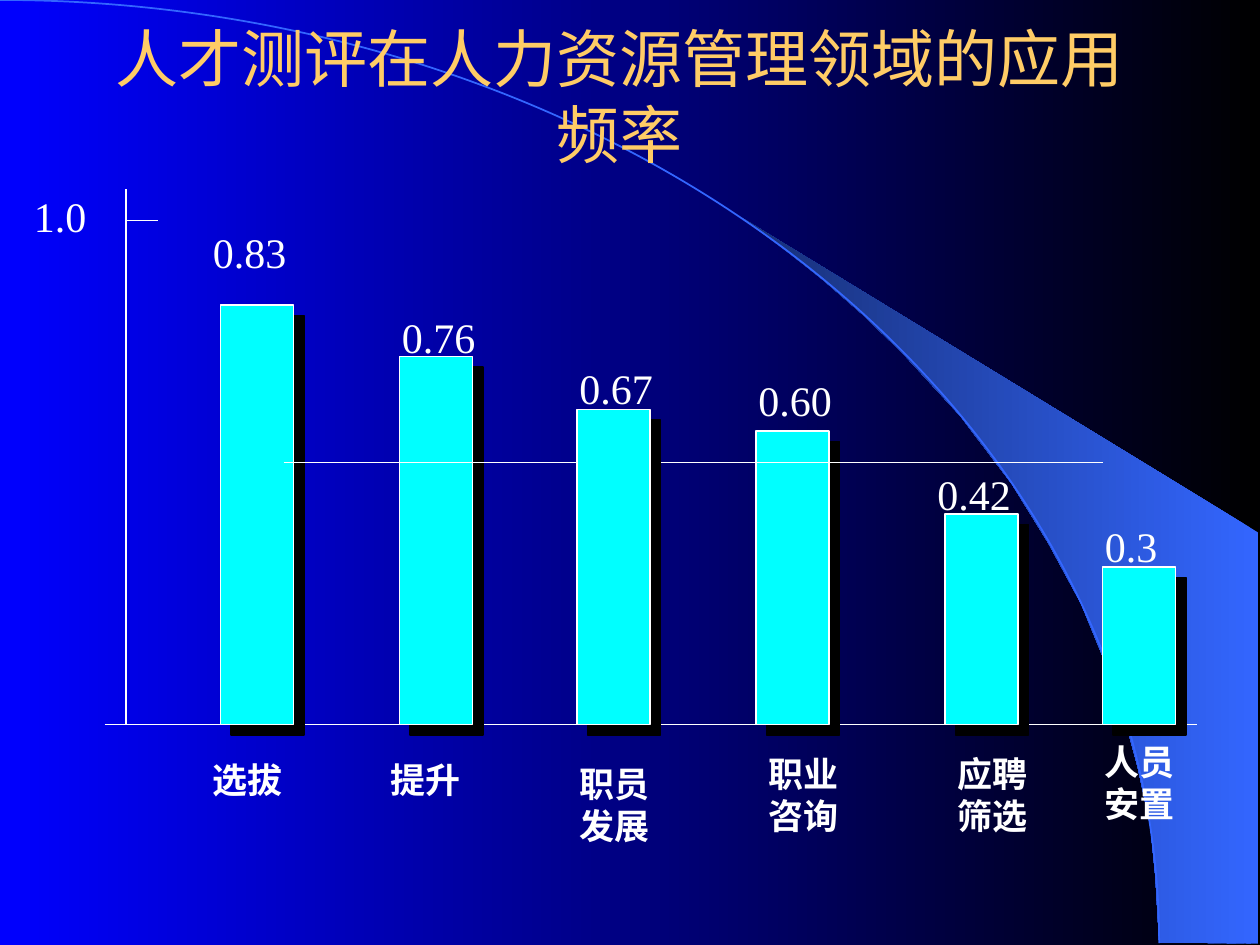
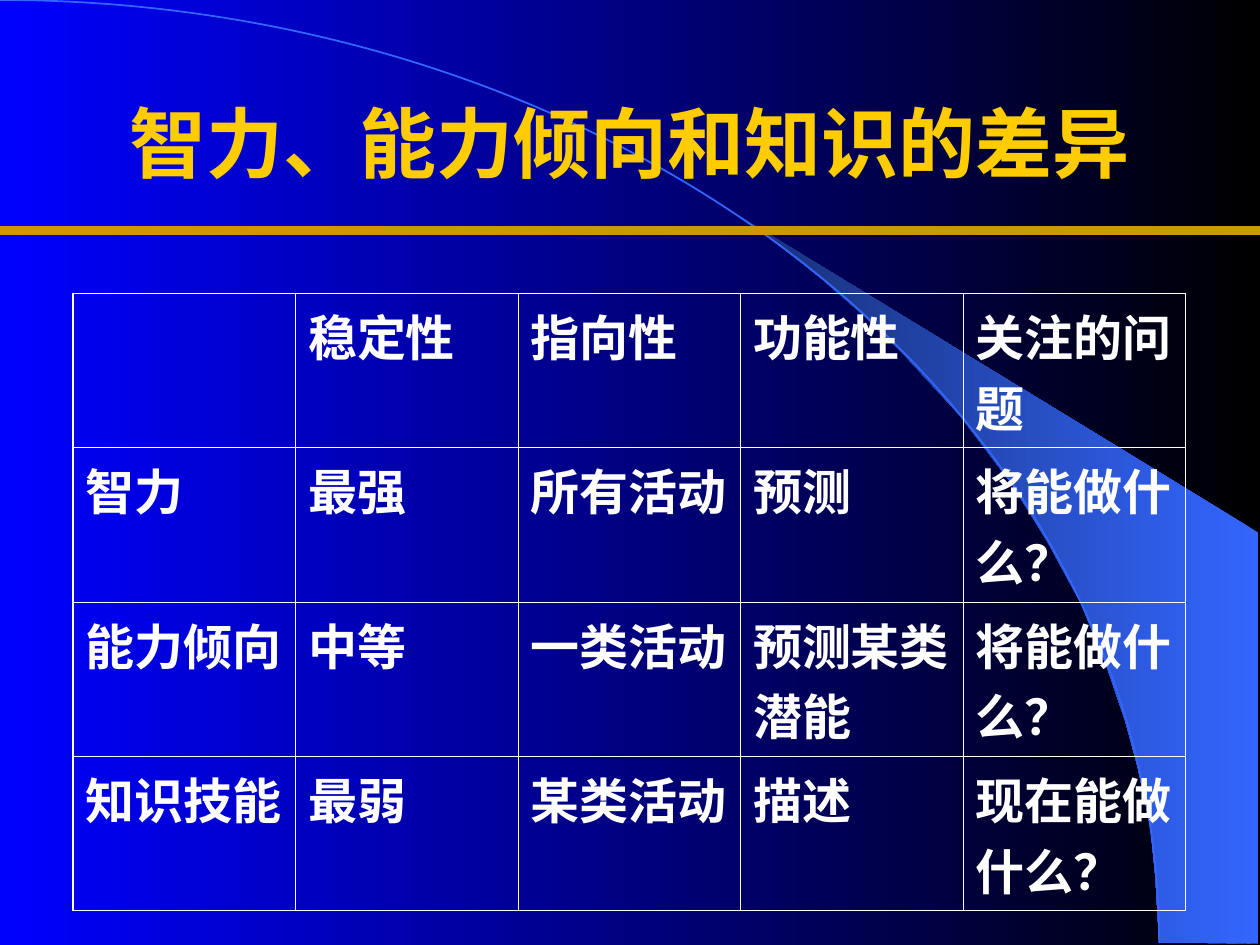
from pptx import Presentation
from pptx.dml.color import RGBColor
from pptx.enum.shapes import MSO_CONNECTOR, MSO_SHAPE
from pptx.enum.text import MSO_ANCHOR, MSO_AUTO_SIZE, PP_ALIGN
from pptx.oxml import parse_xml
from pptx.oxml.ns import nsdecls
from pptx.util import Inches, Pt

STRAIGHT = MSO_CONNECTOR.STRAIGHT
RECTANGLE = MSO_SHAPE.RECTANGLE
ARC = MSO_SHAPE.ARC
MIDDLE = MSO_ANCHOR.MIDDLE
CENTER = PP_ALIGN.CENTER
NO_AUTOFIT = MSO_AUTO_SIZE.NONE

TITLE_ONLY = 5
WHITE, BLACK, BLUE, CYAN = "FFFFFF", "000000", "0000FF", "00FFFF"
ARC_BLUE, BEAM_DARK = "3366FF", "172F75"
PEACH, GOLD, BAND = "FFCC66", "FFCC00", "CC9900"
TITLE_FONT, BODY_FONT = "Arial", "Times New Roman"

BEAM_POINTS = [
    (9.2, 7.48), (9.99, 7.49), (9.99, 4.23), (5.89, 1.73), (6.24, 1.99),
    (6.53, 2.22), (6.85, 2.5), (7.16, 2.8), (7.62, 3.3), (8.03, 3.84),
    (8.32, 4.31), (8.58, 4.79), (8.78, 5.28), (8.93, 5.72), (9.03, 6.09),
    (9.13, 6.56), (9.17, 6.96),
]

BASELINE = 5.75
BAR_WIDTH = 0.58
# bar left, bar height, value, value left and top, label, label left and top
BARS_BEHIND_LINE = [
    (1.75, 3.33, "0.83", (1.59, 1.75), "选拔", (1.59, 5.97)),
    (3.17, 2.92, "0.76", (3.09, 2.42), "提升", (3, 5.97)),
    (6, 2.33, "0.60", (5.92, 2.92), "职业\n咨询", (6, 5.92)),
]
BARS_BEFORE_LINE = [
    (4.58, 2.5, "0.67", (4.5, 2.83), "职员发展", (4.5, 6)),
    (7.5, 1.67, "0.42", (7.34, 3.67), "应聘\n筛选", (7.5, 5.92)),
    (8.75, 1.25, "0.3", (8.67, 4.08), "人员\n安置", (8.67, 5.83)),
]

DIFFERENCES = [
    ["", "稳定性", "指向性", "功能性", "关注的问题"],
    ["智力", "最强", "所有活动", "预测", "将能做什么？"],
    ["能力倾向", "中等", "一类活动", "预测某类潜能", "将能做什么？"],
    ["知识技能", "最弱", "某类活动", "描述", "现在能做什么？"],
]


def color(value):
    return RGBColor.from_string(value)


def fill_gradient(fill, start, end):
    """Run the gradient from the right edge (start) to the left edge (end)."""
    fill.gradient()
    fill.gradient_angle = 180
    for stop, value in zip(fill.gradient_stops, (start, end)):
        stop.color.rgb = color(value)


def format_line(line, value, width):
    line.color.rgb = color(value)
    line.width = Pt(width)


class Deck:
    def __init__(self):
        self.presentation = Presentation()
        self.presentation.slide_width = Inches(10)
        self.presentation.slide_height = Inches(7.5)
        self.slide = None
        fill_gradient(self.presentation.slide_master.background.fill, BLACK, BLUE)

    def add_slide(self):
        layout = self.presentation.slide_layouts[TITLE_ONLY]
        self.slide = self.presentation.slides.add_slide(layout)

    def decorate_master(self):
        """Build the beam and arc on the current slide, then move them to the master."""
        points = [(Inches(x), Inches(y)) for x, y in BEAM_POINTS]
        builder = self.slide.shapes.build_freeform(*points[0])
        builder.add_line_segments(points[1:], close=True)
        beam = builder.convert_to_shape()
        fill_gradient(beam.fill, ARC_BLUE, BEAM_DARK)
        beam.line.fill.background()
        arc = self.slide.shapes.add_shape(
            ARC, Inches(-9.2), Inches(0), Inches(18.4), Inches(14.97))
        arc.fill.background()
        format_line(arc.line, ARC_BLUE, 1)
        master_tree = self.presentation.slide_master.shapes.element
        for position, shape in enumerate((beam, arc), start=2):
            shape.shadow.inherit = False
            master_tree.insert(position, shape.element)

    def set_text(self, frame, text, **font_format):
        frame.text = text
        font_format = {"name": BODY_FONT, "color": WHITE, **font_format}
        value = font_format.pop("color")
        for paragraph in frame.paragraphs:
            for name, setting in font_format.items():
                setattr(paragraph.font, name, setting)
            paragraph.font.color.rgb = color(value)

    def title(self, text, left, top, width, height, **font_format):
        title = self.slide.shapes.title
        places = {"left": left, "top": top, "width": width, "height": height}
        for name, length in places.items():
            setattr(title, name, Inches(length))
        frame = title.text_frame
        frame.auto_size = NO_AUTOFIT
        frame.vertical_anchor = MIDDLE
        self.set_text(frame, text, name=TITLE_FONT, **font_format)
        frame.paragraphs[0].alignment = CENTER

    def text(self, text, left, top, height=0.5, wrap=False, **font_format):
        box = self.slide.shapes.add_textbox(
            Inches(left), Inches(top), Inches(0.78), Inches(height))
        box.text_frame.word_wrap = wrap
        self.set_text(box.text_frame, text, **font_format)

    def line(self, start, end, value=WHITE, width=1):
        ends = [Inches(length) for length in (*start, *end)]
        connector = self.slide.shapes.add_connector(STRAIGHT, *ends)
        format_line(connector.line, value, width)
        connector.element.spPr.append(
            parse_xml(f"<a:effectLst {nsdecls('a')}/>"))

    def bar(self, left, height):
        bar = self.slide.shapes.add_shape(
            RECTANGLE, Inches(left), Inches(BASELINE - height),
            Inches(BAR_WIDTH), Inches(height))
        bar.fill.solid()
        bar.fill.fore_color.rgb = color(CYAN)
        format_line(bar.line, WHITE, 1)
        bar.shadow.inherit = False
        effects = bar.element.spPr.find(
            "{http://schemas.openxmlformats.org/drawingml/2006/main}effectLst")
        effects.append(parse_xml(
            f'<a:outerShdw {nsdecls("a")} blurRad="0" dist="{Pt(8.5)}" '
            f'dir="2700000" algn="ctr" rotWithShape="0">'
            f'<a:srgbClr val="{BLACK}"/></a:outerShdw>'))

    def cell_borders(self, cell, outer_sides):
        properties = cell._tc.get_or_add_tcPr()
        for side in "LRTB":
            width = Pt(1.08 if side in outer_sides else 0.45)
            properties.append(parse_xml(
                f'<a:ln{side} {nsdecls("a")} w="{width}"><a:solidFill>'
                f'<a:srgbClr val="{WHITE}"/></a:solidFill></a:ln{side}>'))

    def table(self, rows, left, top, width, height, **font_format):
        row_count, column_count = len(rows), len(rows[0])
        table = self.slide.shapes.add_table(
            row_count, column_count, Inches(left), Inches(top),
            Inches(width), Inches(height)).table
        table.first_row = table.horz_banding = False
        for row, texts in enumerate(rows):
            for column, text in enumerate(texts):
                cell = table.cell(row, column)
                edges = {"L": column == 0, "R": column == column_count - 1,
                         "T": row == 0, "B": row == row_count - 1}
                self.cell_borders(cell, [side for side in edges if edges[side]])
                cell.fill.background()
                self.set_text(cell.text_frame, text, **font_format)


def build_frequency_slide(deck):
    deck.title("人才测评在人力资源管理领域的应用频率", 0.67, 0.08, 8.5, 1.35,
               size=Pt(36), color=PEACH)
    deck.line((0.83, BASELINE), (9.5, BASELINE))
    deck.line((1, BASELINE), (1, 1.5))
    deck.line((1, 1.75), (1.25, 1.75))
    for left, height, *_ in BARS_BEHIND_LINE:
        deck.bar(left, height)
    deck.line((2.25, 3.67), (8.75, 3.67))
    for left, height, *_ in BARS_BEFORE_LINE:
        deck.bar(left, height)
    for _, _, value, value_place, label, label_place in sorted(
            BARS_BEHIND_LINE + BARS_BEFORE_LINE):
        deck.text(label, *label_place, height=0.77, wrap=True,
                  size=Pt(20), bold=True)
        deck.text(value, *value_place, size=Pt(24))
    deck.text("1.0", 0.17, 1.46, size=Pt(24))


def build_difference_slide(deck):
    deck.title("智力、能力倾向和知识的差异", 0.75, 0.5, 8.5, 1.25,
               size=Pt(44), bold=True, color=GOLD)
    deck.table(DIFFERENCES, 0.58, 2.33, 8.83, 4.44, size=Pt(28), bold=True)
    deck.line((0, 1.83), (10, 1.83), BAND, 5.25)


def main():
    deck = Deck()
    deck.add_slide()
    deck.decorate_master()
    build_frequency_slide(deck)
    deck.add_slide()
    build_difference_slide(deck)
    deck.presentation.save("out.pptx")


if __name__ == "__main__":
    main()
